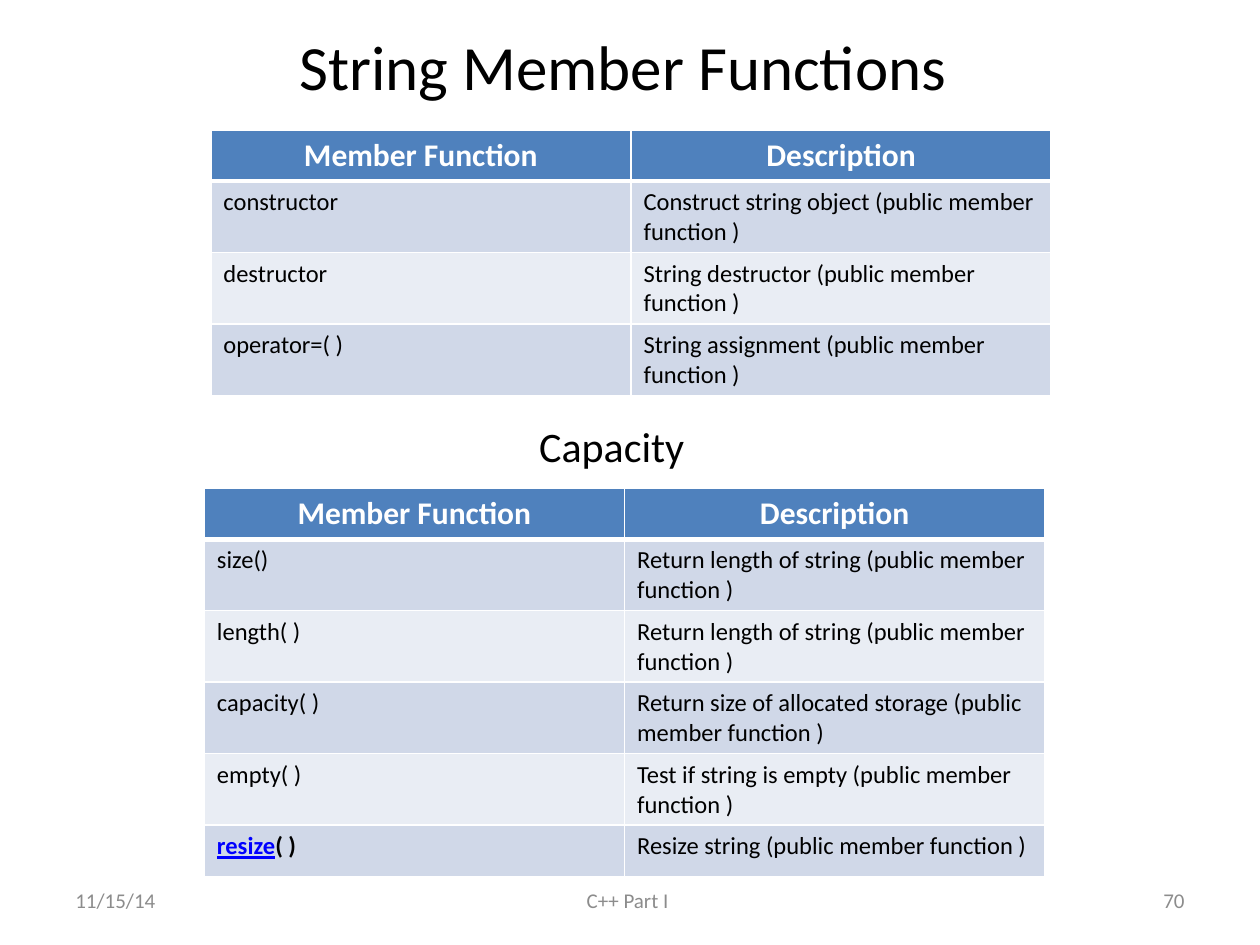
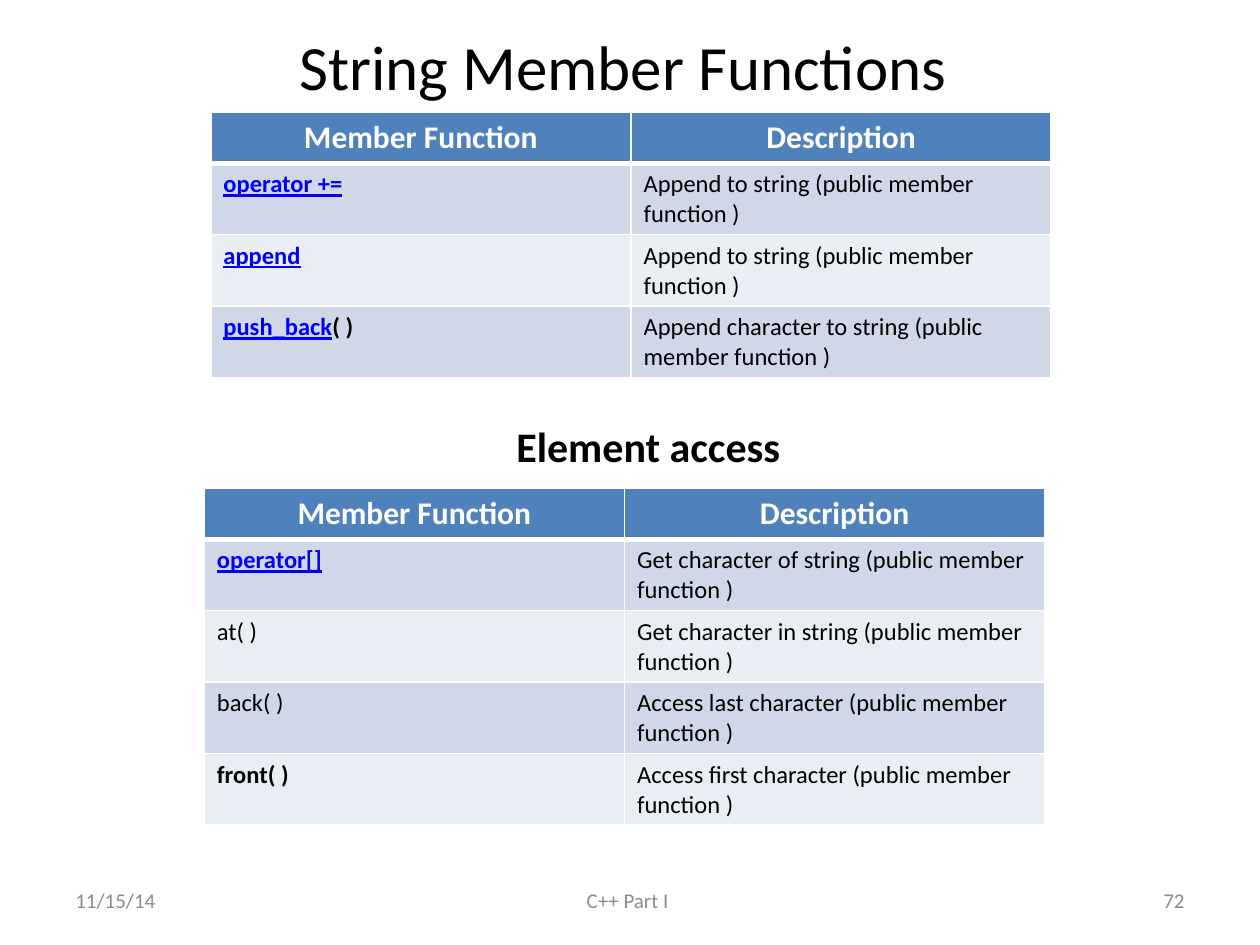
from pptx import Presentation
from pptx.dml.color import RGBColor
from pptx.enum.text import MSO_ANCHOR, MSO_AUTO_SIZE, PP_ALIGN
from pptx.oxml.ns import qn
from pptx.util import Cm, Pt
from lxml import etree

LEFT, CENTER, RIGHT = PP_ALIGN.LEFT, PP_ALIGN.CENTER, PP_ALIGN.RIGHT
MIDDLE, TOP = MSO_ANCHOR.MIDDLE, MSO_ANCHOR.TOP
TITLE_ONLY = 5
FONT = "Calibri"
COLORS = {"text": "000000", "footer": "8C8C8C", "white": "FFFFFF", "link": "0000FF",
          "header": "4F81BD", "odd": "D0D8E8", "even": "E9EDF4"}

# Content: each table row is (linked part, bold part, plain part, description)
TITLE = "String Member Functions "
HEADINGS = ("Member Function", "Description")
DATE, COURSE = "11/15/14", "C++ Part I "
SUFFIX = " (public member function )"
SLIDES = [
    {
        "number": "70",
        "upper_top": 2.62,
        "upper_rows": [
            ("", "", "constructor", "Construct string object"),
            ("", "", "destructor", "String destructor"),
            ("", "", "operator=( )", "String assignment"),
        ],
        "subheading": {"text": "Capacity", "left": 10.62, "width": 3.48, "bold": False},
        "lower_rows": [
            ("", "", "size()", "Return length of string"),
            ("", "", "length( )", "Return length of string"),
            ("", "", "capacity( )", "Return size of allocated storage"),
            ("", "", "empty( )", "Test if string is empty"),
            ("resize", "( )", "", "Resize string"),
        ],
    },
    {
        "number": "72",
        "upper_top": 2.26,
        "upper_rows": [
            ("operator +=", "", "", "Append to string"),
            ("append", "", "", "Append to string"),
            ("push_back", "( )", "", "Append character to string"),
        ],
        "subheading": {"text": "Element access", "left": 10.16, "width": 5.89, "bold": True},
        "lower_rows": [
            ("operator[]", "", "", "Get character of string"),
            ("", "", "at( )", "Get character in string"),
            ("", "", "back( )", "Access last character"),
            ("", "front( )", "", "Access first character"),
        ],
    },
]

# Layout in centimetres
SLIDE_WIDTH, SLIDE_HEIGHT = 25.4, 19.05
MARGIN = 1.27
TITLE_HEIGHT = 2.62
FOOTER_TOP, FOOTER_HEIGHT = 17.65, 1.01
SIDE_WIDTH, COURSE_WIDTH = 5.93, 8.04
COLUMN_WIDTH, ROW_HEIGHT = 8.47, 1.03
UPPER_LEFT, LOWER_LEFT, LOWER_TOP = 4.25, 4.12, 9.84
SUBHEADING_TOP, SUBHEADING_HEIGHT = 8.36, 1.28


def style_font(font, size, color, bold=False):
    font.name = FONT
    font.size = Pt(size)
    font.bold = bold
    font.color.rgb = RGBColor.from_string(COLORS[color])


def add_label(slide, text, box, size, color, align=LEFT, bold=False, anchor=MIDDLE, wrap=True):
    shape = slide.shapes.add_textbox(*(Cm(length) for length in box))
    frame = shape.text_frame
    frame.word_wrap = wrap
    frame.vertical_anchor = anchor
    paragraph = frame.paragraphs[0]
    paragraph.text = text
    paragraph.alignment = align
    style_font(paragraph.font, size, color, bold)


def add_title(slide):
    title = slide.shapes.title
    title.left, title.top = Cm(MARGIN), Cm(0)
    title.width, title.height = Cm(SLIDE_WIDTH - 2 * MARGIN), Cm(TITLE_HEIGHT)
    title.text_frame.auto_size = MSO_AUTO_SIZE.NONE
    title.text_frame.vertical_anchor = MIDDLE
    paragraph = title.text_frame.paragraphs[0]
    paragraph.text = TITLE
    paragraph.alignment = CENTER
    style_font(paragraph.font, 36, "text")


def add_footer(slide, number):
    parts = [
        (DATE, MARGIN, SIDE_WIDTH, LEFT),
        (COURSE, (SLIDE_WIDTH - COURSE_WIDTH) / 2, COURSE_WIDTH, CENTER),
        (number, SLIDE_WIDTH - MARGIN - SIDE_WIDTH, SIDE_WIDTH, RIGHT),
    ]
    for text, left, width, align in parts:
        add_label(slide, text, (left, FOOTER_TOP, width, FOOTER_HEIGHT), 12, "footer", align)


def set_borders(cell, top, bottom):
    """White cell borders; widths in points, sides one point."""
    properties = cell._tc.get_or_add_tcPr()
    widths = {"a:lnL": 1, "a:lnR": 1, "a:lnT": top, "a:lnB": bottom}
    for position, (tag, width) in enumerate(widths.items()):
        line = etree.Element(qn(tag), w=str(Pt(width)))
        fill = etree.SubElement(line, qn("a:solidFill"))
        etree.SubElement(fill, qn("a:srgbClr"), val=COLORS["white"])
        properties.insert(position, line)


def add_member(paragraph, linked, bold, plain):
    style_font(paragraph.font, 14, "text")
    for text, color, is_bold in ((linked, "link", True), (bold, "text", True),
                                 (plain, "text", False)):
        if text:
            run = paragraph.add_run()
            run.text = text
            style_font(run.font, 14, color, is_bold)
            run.font.underline = color == "link"


def add_member_table(slide, left, top, rows):
    row_count = len(rows) + 1
    table = slide.shapes.add_table(row_count, 2, Cm(left), Cm(top), Cm(2 * COLUMN_WIDTH),
                                   Cm(row_count * ROW_HEIGHT)).table
    # Header row
    for column, heading in enumerate(HEADINGS):
        paragraph = table.cell(0, column).text_frame.paragraphs[0]
        paragraph.text = heading
        paragraph.alignment = CENTER
        style_font(paragraph.font, 18, "white", True)
    # Body rows
    for index, (linked, bold, plain, description) in enumerate(rows, start=1):
        add_member(table.cell(index, 0).text_frame.paragraphs[0], linked, bold, plain)
        paragraph = table.cell(index, 1).text_frame.paragraphs[0]
        paragraph.text = description + SUFFIX
        style_font(paragraph.font, 14, "text")
    # Bands and borders
    for index in range(row_count):
        band = "header" if index == 0 else ("odd" if index % 2 else "even")
        for column in range(2):
            cell = table.cell(index, column)
            cell.fill.solid()
            cell.fill.fore_color.rgb = RGBColor.from_string(COLORS[band])
            set_borders(cell, 3 if index == 1 else 1, 3 if index == 0 else 1)


def main():
    presentation = Presentation()
    presentation.slide_width, presentation.slide_height = Cm(SLIDE_WIDTH), Cm(SLIDE_HEIGHT)
    for content in SLIDES:
        slide = presentation.slides.add_slide(presentation.slide_layouts[TITLE_ONLY])
        add_title(slide)
        add_footer(slide, content["number"])
        add_member_table(slide, UPPER_LEFT, content["upper_top"], content["upper_rows"])
        add_member_table(slide, LOWER_LEFT, LOWER_TOP, content["lower_rows"])
        subheading = content["subheading"]
        box = (subheading["left"], SUBHEADING_TOP, subheading["width"], SUBHEADING_HEIGHT)
        add_label(slide, subheading["text"], box, 24, "text", bold=subheading["bold"],
                  anchor=TOP, wrap=False)
    presentation.save("out.pptx")


if __name__ == "__main__":
    main()
